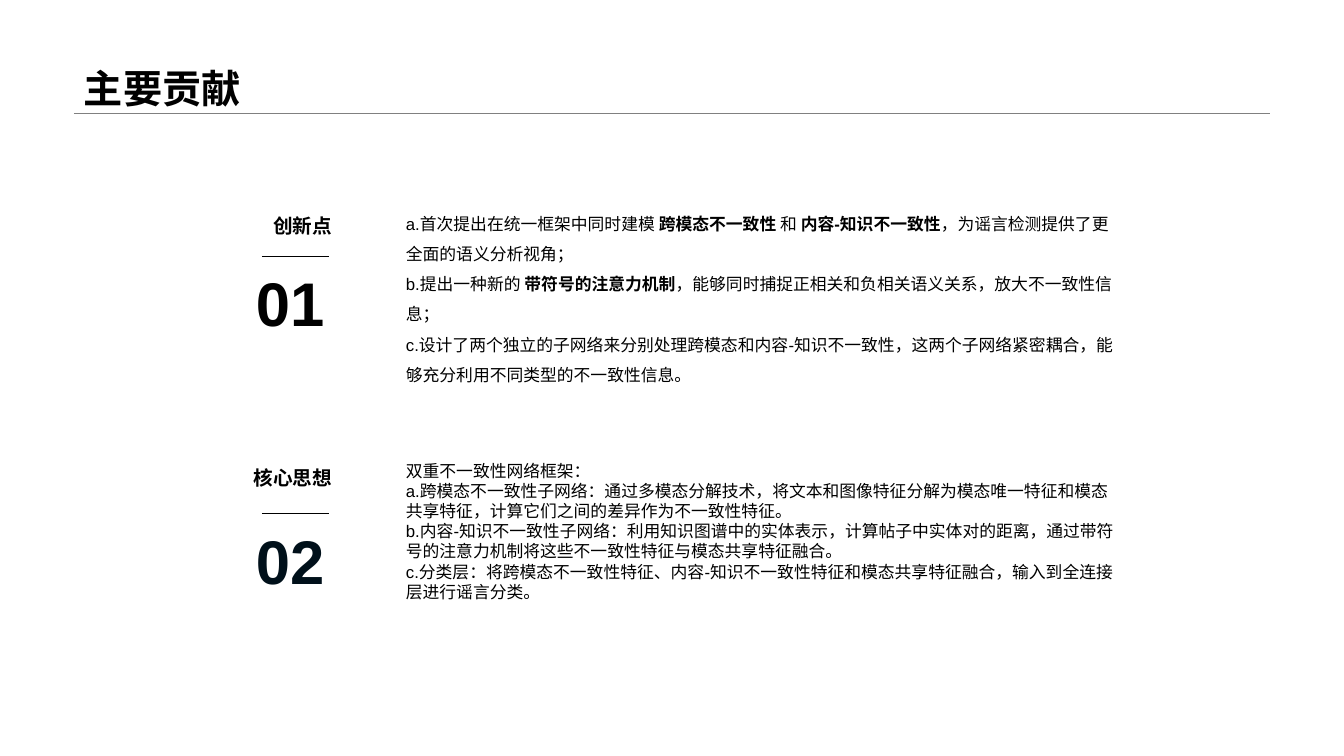
from pptx import Presentation
from pptx.dml.color import RGBColor
from pptx.enum.shapes import MSO_CONNECTOR
from pptx.enum.text import MSO_ANCHOR, PP_ALIGN
from pptx.util import Cm, Pt
from lxml.etree import SubElement
from pptx.oxml.ns import qn

prs = Presentation()
prs.slide_width, prs.slide_height = Cm(33.87), Cm(19.05)
s = prs.slides.add_slide(prs.slide_layouts[5])


def write(sp, paragraphs, size, color="000000", bold=False, align=PP_ALIGN.LEFT, spacing=1.0):
    """Fill a shape; in each paragraph the odd-numbered runs switch the bold state."""
    tf = sp.text_frame
    for i, runs in enumerate(paragraphs):
        p = tf.paragraphs[0] if i == 0 else tf.add_paragraph()
        p.alignment, p.line_spacing = align, spacing
        for j, text in enumerate(runs):
            r = p.add_run()
            r.text = text
            r.font.color.rgb = RGBColor.from_string(color)
            font = {"name": "Arial", "size": Pt(size), "bold": bold != (j % 2 == 1)}
            for key, value in font.items():
                setattr(r.font, key, value)


def rule(left, right, y, color, width):
    line = s.shapes.add_connector(MSO_CONNECTOR.STRAIGHT, Cm(left), Cm(y), Cm(right), Cm(y))
    line.line.color.rgb = RGBColor.from_string(color)
    line.line.width = Pt(width)
    SubElement(line._element.spPr, qn("a:effectLst"))


# Title with the rule beneath it
rule(1.86, 32.0, 2.85, "808080", 0.25)
title = s.shapes.title
place = {"left": Cm(1.86), "top": Cm(1.5), "width": Cm(30.14), "height": Cm(1.6)}
for key, value in place.items():
    setattr(title, key, value)
title.text_frame.vertical_anchor = MSO_ANCHOR.MIDDLE
write(title, [["主要贡献"]], 28, bold=True, spacing=0.9)

# Sections: heading, number, number colour, rule y, heading y, body y, body height, spacing, body
sections = [
    ("创新点", "01", "000000", 6.45, 5.26, 5.0, 4.78, 1.5, [
        ["a.首次提出在统一框架中同时建模 ", "跨模态不一致性 ", "和 ", "内容-知识不一致性",
         "，为谣言检测提供了更全面的语义分析视角；"],
        ["b.提出一种新的 ", "带符号的注意力机制",
         "，能够同时捕捉正相关和负相关语义关系，放大不一致性信息；"],
        ["c.设计了两个独立的子网络来分别处理跨模态和内容-知识不一致性，这两个子网络紧密耦合，"
         "能够充分利用不同类型的不一致性信息。"],
    ]),
    ("核心思想", "02", "00101A", 12.93, 11.61, 11.48, 3.84, 1.0, [
        ["双重不一致性网络框架："],
        ["a.跨模态不一致性子网络：通过多模态分解技术，将文本和图像特征分解为模态唯一特征和模态共享特征，"
         "计算它们之间的差异作为不一致性特征。"],
        ["b.内容-知识不一致性子网络：利用知识图谱中的实体表示，计算帖子中实体对的距离，"
         "通过带符号的注意力机制将这些不一致性特征与模态共享特征融合。"],
        ["c.分类层：将跨模态不一致性特征、内容-知识不一致性特征和模态共享特征融合，"
         "输入到全连接层进行谣言分类。"],
    ]),
]

for heading, number, color, rule_y, heading_y, body_y, body_h, spacing, body in sections:
    rule(6.6, 8.28, rule_y, "000000", 0.5)

    # Heading and number, right-aligned on one line each
    sp = s.shapes.add_textbox(Cm(6.11), Cm(heading_y), Cm(2.51), Cm(0.86))
    sp.text_frame.word_wrap = False
    write(sp, [[heading]], 14, bold=True, align=PP_ALIGN.RIGHT)
    sp = s.shapes.add_textbox(Cm(6.17), Cm(rule_y + 0.11), Cm(2.26), Cm(2.13))
    sp.text_frame.word_wrap = False
    write(sp, [[number]], 44, color, bold=True, align=PP_ALIGN.RIGHT)

    # Body text
    sp = s.shapes.add_textbox(Cm(9.98), Cm(body_y), Cm(18.62), Cm(body_h))
    sp.text_frame.word_wrap = True
    write(sp, body, 12, spacing=spacing)

prs.save("out.pptx")
